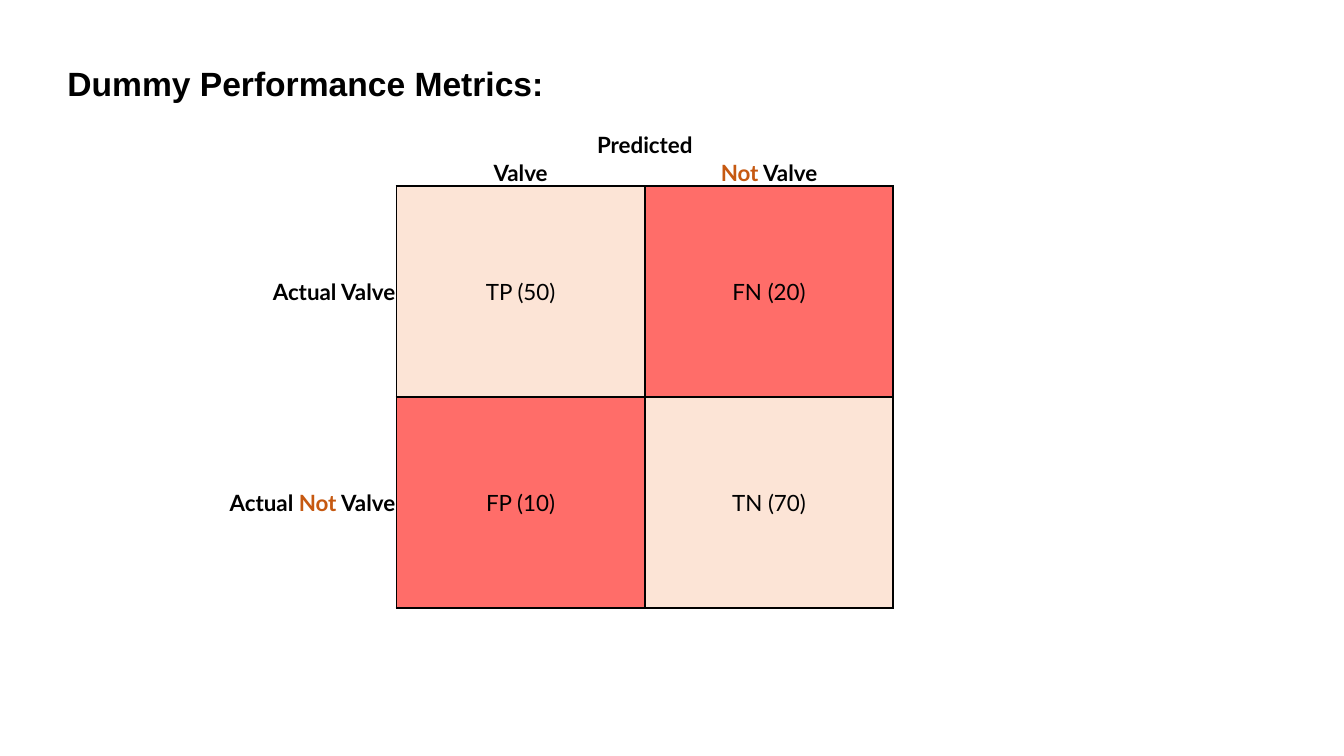
from dataclasses import dataclass

from lxml import etree
from pptx import Presentation
from pptx.dml.color import RGBColor
from pptx.enum.text import MSO_ANCHOR, PP_ALIGN
from pptx.oxml.ns import qn
from pptx.util import Cm, Pt

LEFT, CENTER, RIGHT = PP_ALIGN.LEFT, PP_ALIGN.CENTER, PP_ALIGN.RIGHT
BOTTOM, MIDDLE, TOP = MSO_ANCHOR.BOTTOM, MSO_ANCHOR.MIDDLE, MSO_ANCHOR.TOP

TITLE = "Dummy Performance Metrics:"
NOT = ("Not", "accent")
ROWS = [
    [[], [("Predicted", "ink")], []],
    [[], [("Valve", "ink")], [NOT, (" Valve", "ink")]],
    [[("Actual Valve", "ink")], [("TP (50)", "ink")], [("FN (20)", "ink")]],
    [[("Actual ", "ink"), NOT, (" Valve", "ink")],
     [("FP (10)", "ink")], [("TN (70)", "ink")]],
]
HEADER_ROWS, LABEL_COLS = 2, 1
COL_WIDTHS = [4.5, 6.26, 6.26]
ROW_HEIGHTS = [0.64, 0.69, 5.31, 5.31]
TABLE_LEFT, TABLE_TOP = 5.49, 3.28


@dataclass(frozen=True)
class Theme:
    ink: str = "000000"
    accent: str = "C65911"
    correct: str = "FCE4D6"
    wrong: str = "FF6D69"
    title_font: str = "Arial"
    table_font: str = "Lato"
    title_size: int = 24
    table_size: int = 16
    border: float = 1.5


THEME = Theme()


def add_run(p, text, color, font, size, bold):
    r = p.add_run()
    r.text = text
    r.font.name, r.font.size, r.font.bold = font, Pt(size), bold
    r.font.color.rgb = RGBColor.from_string(color)


def set_borders(cell, sides):
    tc_pr = cell._tc.get_or_add_tcPr()
    for i, side in enumerate(s for s in "LRTB" if s in sides):
        ln = etree.Element(qn(f"a:ln{side}"), w=str(Pt(THEME.border)))
        fill = etree.SubElement(ln, qn("a:solidFill"))
        etree.SubElement(fill, qn("a:srgbClr"), val=THEME.ink)
        tc_pr.insert(i, ln)


def fill_cell(cell, runs, row, col):
    is_header, is_label = row < HEADER_ROWS, col < LABEL_COLS
    is_value = not (is_header or is_label)
    cell.margin_left = cell.margin_right = cell.margin_top = Cm(0.03)
    cell.margin_bottom = 0
    cell.vertical_anchor = BOTTOM if is_header else MIDDLE
    p = cell.text_frame.paragraphs[0]
    p.alignment = RIGHT if is_label else CENTER
    for text, color in runs:
        add_run(p, text, getattr(THEME, color), THEME.table_font,
                THEME.table_size, not is_value)
    if not runs:
        etree.SubElement(p._p, qn("a:endParaRPr"), sz=str(THEME.table_size * 100))
    if is_value:
        on_diagonal = row - HEADER_ROWS == col - LABEL_COLS
        cell.fill.solid()
        cell.fill.fore_color.rgb = RGBColor.from_string(
            THEME.correct if on_diagonal else THEME.wrong)
        set_borders(cell, "LRTB")
    else:
        cell.fill.background()
        if is_label and not is_header:
            set_borders(cell, "R")
        elif row == HEADER_ROWS - 1 and not is_label:
            set_borders(cell, "B")


def add_title(s):
    tf = s.shapes.add_textbox(Cm(1.7), Cm(1.7), Cm(24.64), Cm(1.14)).text_frame
    tf.word_wrap = True
    tf.vertical_anchor = TOP
    tf.margin_left = tf.margin_right = tf.margin_top = tf.margin_bottom = 0
    p = tf.paragraphs[0]
    p.alignment, p.line_spacing = LEFT, 0.9
    add_run(p, TITLE, THEME.ink, THEME.title_font, THEME.title_size, True)


def add_matrix(s):
    table = s.shapes.add_table(
        len(ROWS), len(COL_WIDTHS), Cm(TABLE_LEFT), Cm(TABLE_TOP),
        Cm(sum(COL_WIDTHS)), Cm(sum(ROW_HEIGHTS))).table
    table.first_row = table.horz_banding = False
    for column, width in zip(table.columns, COL_WIDTHS):
        column.width = Cm(width)
    for row, height in zip(table.rows, ROW_HEIGHTS):
        row.height = Cm(height)
    for i, cells in enumerate(ROWS):
        for j, runs in enumerate(cells):
            fill_cell(table.cell(i, j), runs, i, j)
    table.cell(0, LABEL_COLS).merge(table.cell(0, len(COL_WIDTHS) - 1))
    style = table._tbl.tblPr.find(qn("a:tableStyleId"))
    style.text = "{2D5ABB26-0587-4C30-8999-92F81FD0307C}"


def main():
    prs = Presentation()
    prs.slide_width, prs.slide_height = Cm(33.87), Cm(19.05)
    s = prs.slides.add_slide(prs.slide_layouts[6])
    add_title(s)
    add_matrix(s)
    prs.save("out.pptx")


if __name__ == "__main__":
    main()
